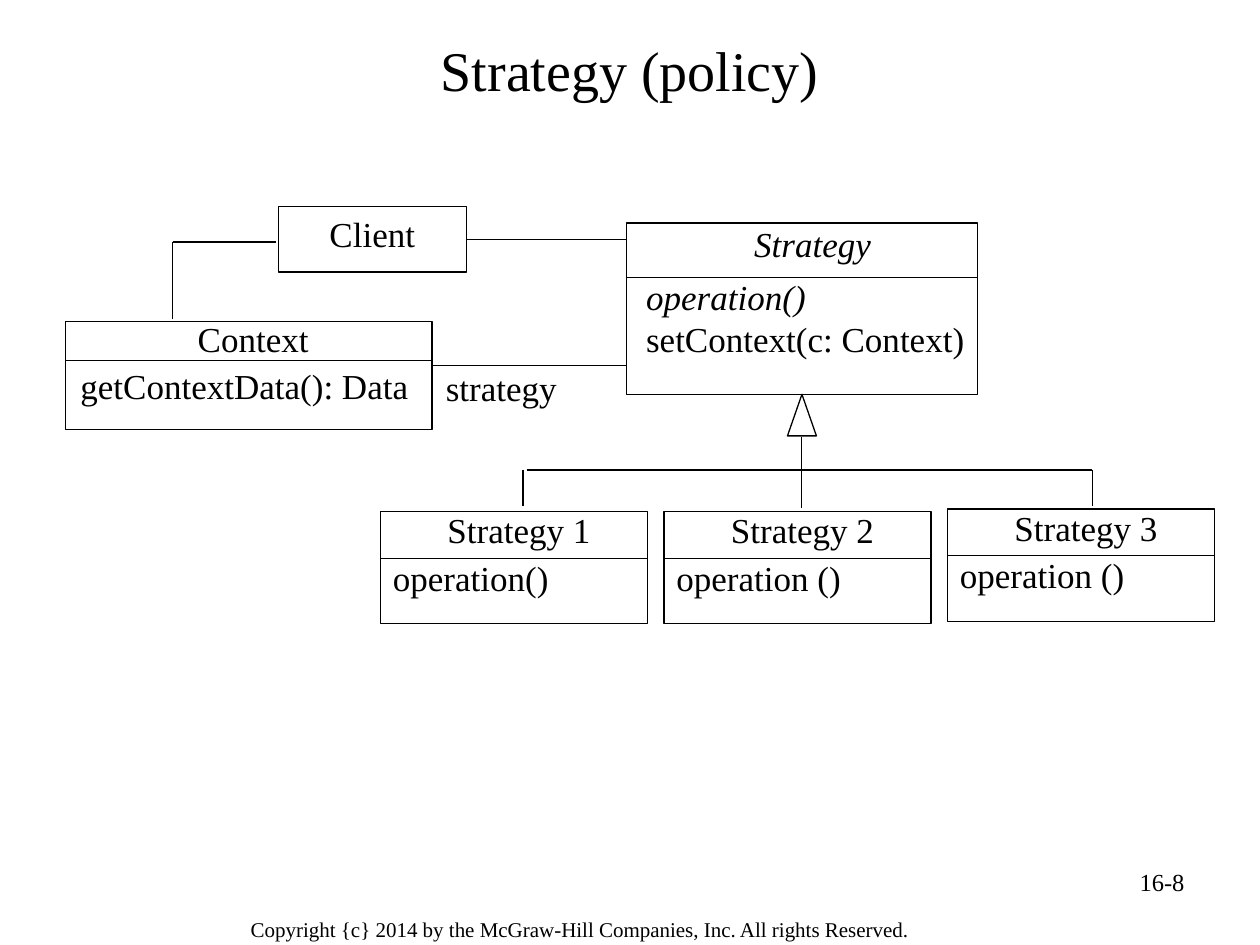
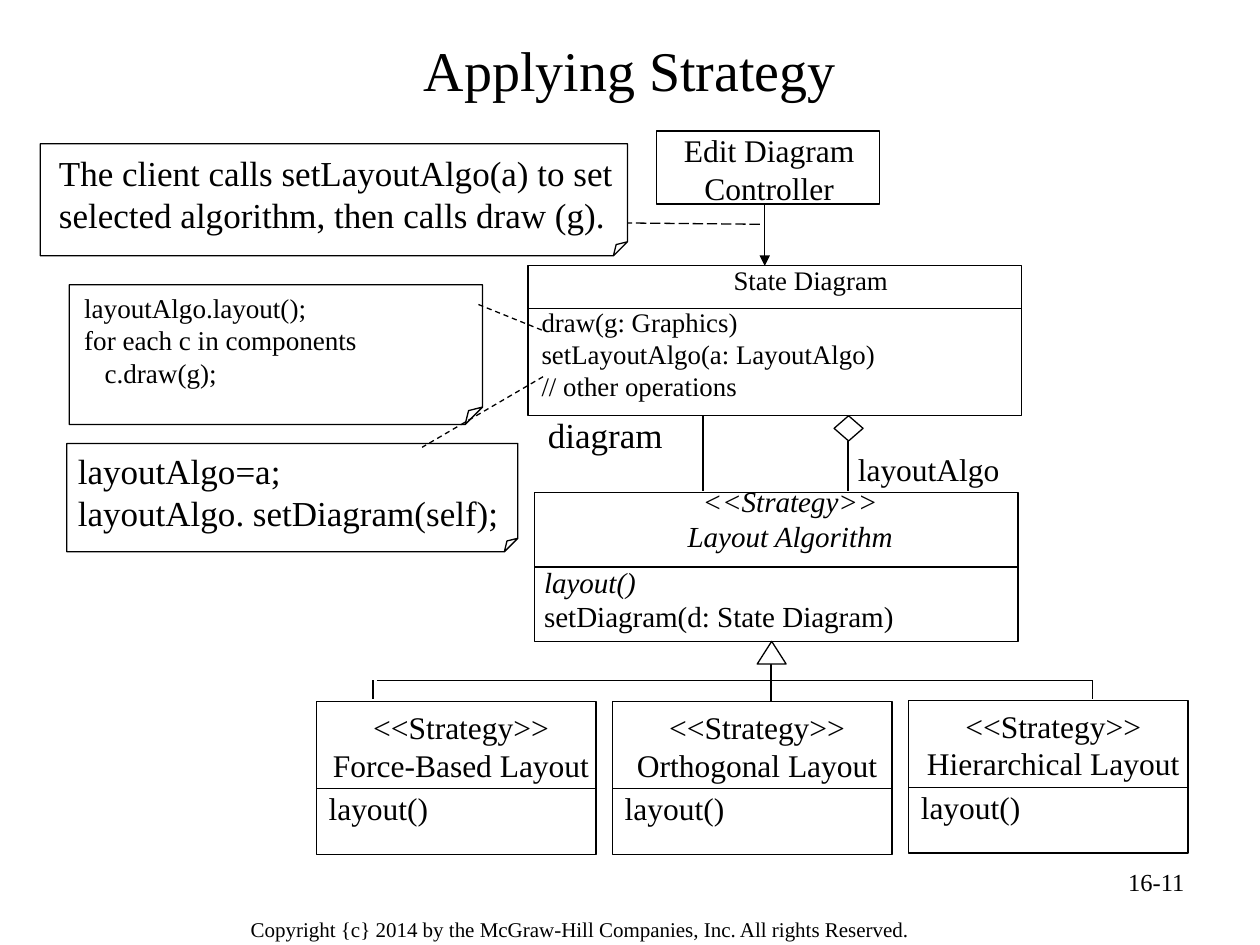
from dataclasses import dataclass
from typing import Optional
from lxml import etree
from pptx import Presentation
from pptx.dml.color import RGBColor
from pptx.enum.dml import MSO_LINE
from pptx.enum.shapes import MSO_CONNECTOR, MSO_SHAPE
from pptx.enum.text import MSO_ANCHOR, PP_ALIGN
from pptx.oxml.ns import qn
from pptx.util import Inches, Pt

COLORS = {"ink": "000000", "paper": "FFFFFF"}
FONT = "Times New Roman"
LINE_PITCH = 1.2
LEFT, CENTER, RIGHT = PP_ALIGN.LEFT, PP_ALIGN.CENTER, PP_ALIGN.RIGHT
TOP, MIDDLE = MSO_ANCHOR.TOP, MSO_ANCHOR.MIDDLE
RECT, NOTE = MSO_SHAPE.RECTANGLE, MSO_SHAPE.FOLDED_CORNER
TRIANGLE, DIAMOND = MSO_SHAPE.ISOSCELES_TRIANGLE, MSO_SHAPE.DIAMOND
STRAIGHT = MSO_CONNECTOR.STRAIGHT
DASH, LONG_DASH = MSO_LINE.DASH, MSO_LINE.LONG_DASH
COPYRIGHT = "Copyright {c} 2014 by the McGraw-Hill Companies, Inc. All rights Reserved."


@dataclass
class Box:
    x: float
    y: float
    w: float
    h: float


@dataclass
class Para:
    text: str
    align: PP_ALIGN = LEFT
    italic: bool = False
    after: float = 0


@dataclass
class Link:
    x1: float
    y1: float
    x2: float
    y2: float
    dash: Optional[MSO_LINE] = None
    arrow: bool = False


@dataclass
class Panel:
    frame: Box
    text: Box
    paras: list[Para]
    size: float = 20
    divider: Optional[float] = None
    kind: MSO_SHAPE = RECT


def rgb(name: str) -> RGBColor:
    return RGBColor.from_string(COLORS[name])


def add_text(s, box: Box, paras: list[Para], size: float = 20,
             anchor: MSO_ANCHOR = TOP, inset: float = 0.1) -> None:
    sp = s.shapes.add_textbox(Inches(box.x), Inches(box.y),
                              Inches(box.w), Inches(box.h))
    tf = sp.text_frame
    tf.word_wrap = True
    tf.vertical_anchor = anchor
    tf.margin_left = tf.margin_right = Inches(inset)
    tf.margin_top = tf.margin_bottom = Inches(inset / 2)
    for i, para in enumerate(paras):
        p = tf.add_paragraph() if i else tf.paragraphs[0]
        p.alignment = para.align
        p.line_spacing = Pt(size * LINE_PITCH)
        p.space_after = Pt(para.after)
        r = p.add_run()
        r.text = para.text
        r.font.name = FONT
        r.font.size = Pt(size)
        r.font.italic = para.italic
        r.font.color.rgb = rgb("ink")


def add_outline(s, box: Box, kind: MSO_SHAPE = RECT, filled: bool = False) -> None:
    sp = s.shapes.add_shape(kind, Inches(box.x), Inches(box.y),
                            Inches(box.w), Inches(box.h))
    sp.shadow.inherit = False
    sp.line.color.rgb = rgb("ink")
    sp.line.width = Pt(0.75)
    if kind == NOTE:
        guides = sp._element.spPr.find(qn("a:prstGeom")).get_or_add_avLst()
        etree.SubElement(guides, qn("a:gd"), name="adj", fmla="val 12500")
    if filled:
        sp.fill.solid()
        sp.fill.fore_color.rgb = rgb("paper")
    else:
        sp.fill.background()


def add_link(s, link: Link) -> None:
    c = s.shapes.add_connector(STRAIGHT, Inches(link.x1), Inches(link.y1),
                               Inches(link.x2), Inches(link.y2))
    c.line.color.rgb = rgb("ink")
    c.line.width = Pt(0.75)
    if link.dash:
        c.line.dash_style = link.dash
    if link.arrow:
        ln = c._element.spPr.find(qn("a:ln"))
        etree.SubElement(ln, qn("a:tailEnd"), type="triangle")
    etree.SubElement(c._element.spPr, qn("a:effectLst"))


def add_panel(s, panel: Panel) -> None:
    f = panel.frame
    add_outline(s, f, panel.kind)
    add_text(s, panel.text, panel.paras, panel.size)
    if panel.divider is not None:
        add_link(s, Link(f.x, panel.divider, f.x + f.w, panel.divider))


def add_base(prs, title: str, number: str):
    s = prs.slides.add_slide(prs.slide_layouts[6])
    add_text(s, Box(1.88, 7.22, 6.19, 0.31), [Para(COPYRIGHT)], 12, inset=0.11)
    add_text(s, Box(7.17, 6.83, 2.33, 0.52), [Para(number, RIGHT)], 14)
    add_text(s, Box(0.5, 0.17, 9, 0.75), [Para(title, CENTER)], 32, MIDDLE)
    return s


def add_diagram(s, panels: list[Panel], links: list[Link]) -> None:
    for panel in panels:
        add_panel(s, panel)
    for link in links:
        add_link(s, link)


def inheritance(mid: float, top: float, y: float, end: float, left: float) -> list[Link]:
    right = 8.67
    return [Link(left + 0.03, y, right, y), Link(left, y, left, end),
            Link(right, y, right, end), Link(mid, top, mid, end + 0.01)]


def pattern_slide(prs) -> None:
    s = add_base(prs, "Strategy (policy)", "16-8")
    panels = [
        Panel(Box(4.97, 1.77, 2.79, 1.36), Box(5.03, 1.72, 2.84, 2.01),
              [Para("Strategy", CENTER, True, 6), Para("operation()", italic=True),
               Para("setContext(c: Context)")], divider=2.2),
        Panel(Box(0.52, 2.55, 2.91, 0.86), Box(0.54, 2.47, 2.94, 0.99),
              [Para("Context", CENTER, after=3), Para("getContextData(): Data")],
              divider=2.86),
        Panel(Box(2.21, 1.64, 1.49, 0.52), Box(2.21, 1.64, 1.49, 0.52),
              [Para("Client", CENTER)]),
    ]
    strategies = [("Strategy 1", "operation()", 4.06),
                  ("Strategy 2", "operation ()", 4.06),
                  ("Strategy 3", "operation ()", 4.04)]
    for i, (name, operation, y) in enumerate(strategies):
        x = 3.02 + 2.25 * i
        panels.append(Panel(Box(x, y, 2.12, 0.89), Box(x, y - 0.07, 2.2, 1.54),
                            [Para(name, CENTER, after=3), Para(operation)],
                            divider=y + 0.37))
    links = [
        Link(4.98, 1.9, 3.71, 1.9),
        Link(3.43, 2.9, 4.97, 2.9),
        Link(1.37, 1.92, 2.19, 1.92),
        Link(1.37, 1.92, 1.37, 2.53),
        *inheritance(6.36, 3.47, 3.73, 4.02, 4.15),
    ]
    add_diagram(s, panels, links)
    add_outline(s, Box(6.25, 3.13, 0.23, 0.33), TRIANGLE, filled=True)
    add_text(s, Box(3.44, 2.86, 1.49, 0.54), [Para("strategy")])


def applied_slide(prs) -> None:
    s = add_base(prs, "Applying Strategy", "16-11")
    panels = [
        Panel(Box(5.21, 1.04, 1.77, 0.58), Box(5.02, 0.99, 2.17, 0.71),
              [Para("Edit Diagram Controller", CENTER)], 18),
        Panel(Box(4.19, 2.11, 3.92, 1.19), Box(4.2, 2.04, 4.47, 1.29),
              [Para("State Diagram", CENTER, after=6), Para("draw(g: Graphics)"),
               Para("setLayoutAlgo(a: LayoutAlgo)"), Para("// other operations")],
              15.3, 2.45),
        Panel(Box(4.24, 3.91, 3.84, 1.18), Box(4.22, 3.79, 4.1, 1.32),
              [Para("<<Strategy>>", CENTER, True),
               Para("Layout Algorithm", CENTER, True, 6),
               Para("layout()", italic=True), Para("setDiagram(d: State Diagram)")],
              16.6, 4.5),
        Panel(Box(0.55, 2.26, 3.28, 1.11), Box(0.57, 2.26, 3.51, 0.94),
              [Para("layoutAlgo.layout();"), Para("for each c in components"),
               Para("   c.draw(g);")], 15.5, kind=NOTE),
        Panel(Box(0.32, 1.14, 4.66, 0.89), Box(0.37, 1.15, 4.9, 0.94),
              [Para("The client calls setLayoutAlgo(a) to set "
                    "selected algorithm, then calls draw (g).")], kind=NOTE),
        Panel(Box(0.53, 3.52, 3.58, 0.86), Box(0.52, 3.52, 4.43, 1),
              [Para("layoutAlgo=a;"), Para("layoutAlgo. setDiagram(self);")],
              kind=NOTE),
    ]
    layouts = [("Force-Based Layout", 5.57), ("Orthogonal Layout", 5.57),
               ("Hierarchical Layout", 5.56)]
    for i, (name, y) in enumerate(layouts):
        x = 2.51 + 2.35 * i
        panels.append(Panel(Box(x, y, 2.22, 1.21), Box(x, y, 2.3, 1.24),
                            [Para("<<Strategy>>", CENTER), Para(name, CENTER, after=3),
                             Para("layout()")], 18, y + 0.69))
    links = [
        Link(4.3, 2.62, 3.78, 2.41, DASH),
        Link(6.03, 1.78, 4.98, 1.77, LONG_DASH),
        Link(4.31, 2.99, 3.35, 3.55, DASH),
        Link(6.07, 1.63, 6.07, 2.11, arrow=True),
        Link(6.73, 3.5, 6.73, 3.9),
        Link(5.58, 3.3, 5.58, 3.9),
        *inheritance(6.12, 5.27, 5.4, 5.55, 2.96),
    ]
    add_diagram(s, panels, links)
    add_outline(s, Box(6.62, 3.3, 0.23, 0.2), DIAMOND, filled=True)
    add_outline(s, Box(6.01, 5.09, 0.23, 0.18), TRIANGLE, filled=True)
    add_text(s, Box(6.71, 3.52, 1.91, 0.51), [Para("layoutAlgo")], 18)
    add_text(s, Box(4.25, 3.23, 1.78, 0.45), [Para("diagram")])


def main() -> None:
    prs = Presentation()
    prs.slide_width, prs.slide_height = Inches(10), Inches(7.5)
    pattern_slide(prs)
    applied_slide(prs)
    prs.save("out.pptx")


if __name__ == "__main__":
    main()
